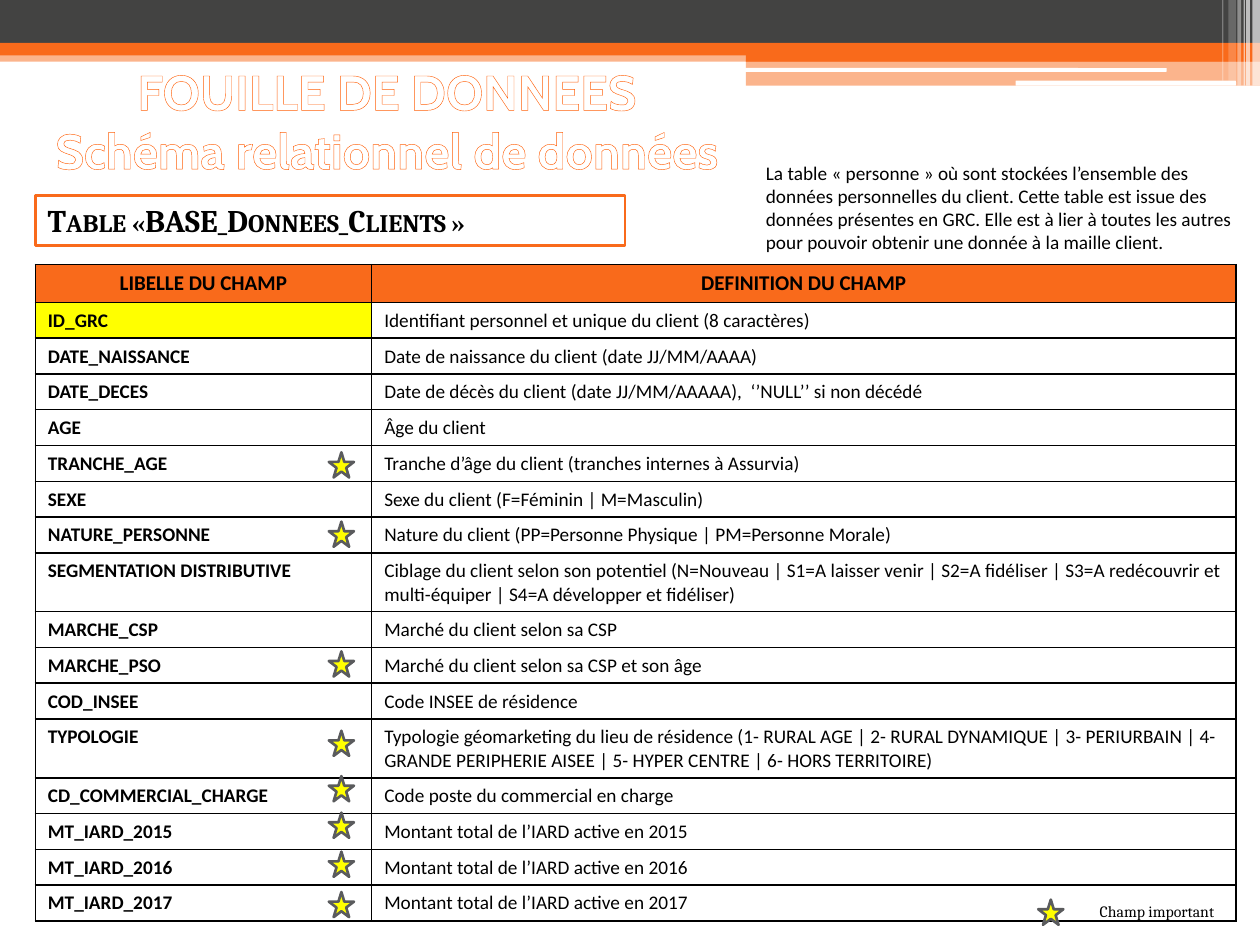
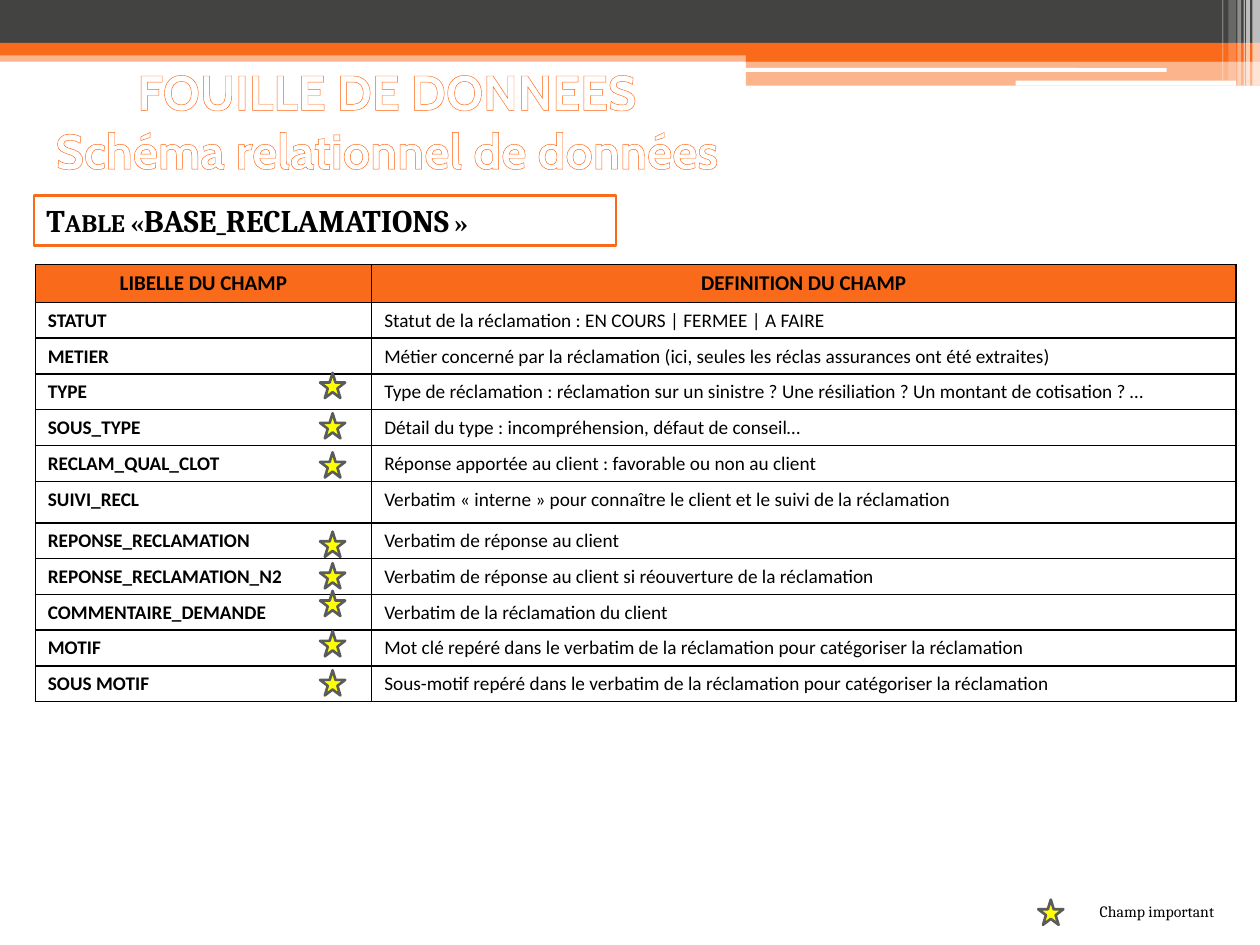
from lxml import etree
from pptx import Presentation
from pptx import util as u
from pptx.dml.color import RGBColor
from pptx.enum import shapes, text
from pptx.oxml import ns

CELL = u.Inches(0.1)
COLUMNS, ROWS = 100, 75

ORANGE = RGBColor(0xF9, 0x6A, 0x1B)
OUTLINE_ORANGE = RGBColor(0xFF, 0x60, 0x09)
CHARCOAL = RGBColor(0x43, 0x43, 0x42)
STAR_GREY = RGBColor(0x5A, 0x5B, 0x5D)
YELLOW = RGBColor(0xFF, 0xFF, 0x00)
WHITE = RGBColor(0xFF, 0xFF, 0xFF)
BLACK = RGBColor(0, 0, 0)

RECTANGLE = shapes.MSO_SHAPE.RECTANGLE
ROUNDED = shapes.MSO_SHAPE.ROUNDED_RECTANGLE
STAR = shapes.MSO_SHAPE.STAR_5_POINT
CENTER = text.PP_ALIGN.CENTER
LEFT = text.PP_ALIGN.LEFT
TOP = text.MSO_ANCHOR.TOP
MIDDLE = text.MSO_ANCHOR.MIDDLE
BOTTOM = text.MSO_ANCHOR.BOTTOM

BANDS = [
    (0, 4, 100, 0.9, ORANGE, 50),
    (0, 0, 100, 3.4, CHARCOAL, 100),
    (0, 3.4, 100, 1, ORANGE, 100),
    (59.2, 3.9, 40.8, 1, ORANGE, 100),
    (59.2, 4.8, 40.8, 2, ORANGE, 50),
]
WHITE_STREAKS = [(59.1, 5.4, 33.5, 0.3), (80.6, 6.4, 17.5, 0.4)]
CORNER_STRIPES = [
    (99.4, 0.6, 6.8, 65),
    (98.9, 0.3, 6.8, 65),
    (98.7, 0.1, 6.8, 60),
    (98.2, 0.3, 6.8, 40),
    (97.5, 0.6, 6.4, 20),
    (97, 0.1, 6.4, 30),
]

TITLE = "FOUILLE DE DONNEES\vSchéma relationnel de données"
HEADINGS = ("LIBELLE DU CHAMP", "DEFINITION DU CHAMP")
FIELD_WIDTHS = (26.7, 68.6)
ROW_HEIGHT = 2.8

CLIENT_NOTE = (
    "La table « personne » où sont stockées l’ensemble des données personnelles "
    "du client. Cette table est issue des données présentes en GRC. Elle est à lier "
    "à toutes les autres pour pouvoir obtenir une donnée à la maille client."
)
CLIENT_FIELDS = [
    ("ID_GRC", "Identifiant personnel et unique du client (8 caractères)", None),
    ("DATE_NAISSANCE", "Date de naissance du client (date JJ/MM/AAAA)", None),
    ("DATE_DECES", "Date de décès du client (date JJ/MM/AAAAA),  ‘’NULL’’ si non décédé", None),
    ("AGE", "Âge du client", None),
    ("TRANCHE_AGE", "Tranche d’âge du client (tranches internes à Assurvia)", 35.9),
    ("SEXE", "Sexe du client (F=Féminin | M=Masculin)", None),
    ("NATURE_PERSONNE", "Nature du client (PP=Personne Physique | PM=Personne Morale)", 41.4),
    ("SEGMENTATION DISTRIBUTIVE",
     "Ciblage du client selon son potentiel (N=Nouveau | S1=A laisser venir | "
     "S2=A fidéliser | S3=A redécouvrir et multi-équiper | "
     "S4=A développer et fidéliser)", None),
    ("MARCHE_CSP", "Marché du client selon sa CSP", None),
    ("MARCHE_PSO", "Marché du client selon sa CSP et son âge", 51.7),
    ("COD_INSEE", "Code INSEE de résidence", None),
    ("TYPOLOGIE",
     "Typologie géomarketing du lieu de résidence (1- RURAL AGE | "
     "2- RURAL DYNAMIQUE | 3- PERIURBAIN | 4- GRANDE PERIPHERIE AISEE | "
     "5- HYPER CENTRE | 6- HORS TERRITOIRE)", 58),
    ("CD_COMMERCIAL_CHARGE", "Code poste du commercial en charge", 61.6),
    ("MT_IARD_2015", "Montant total de l’IARD active en 2015", 64.5),
    ("MT_IARD_2016", "Montant total de l’IARD active en 2016", 67.6),
    ("MT_IARD_2017", "Montant total de l’IARD active en 2017", 70.8),
]
CLAIM_FIELDS = [
    ("STATUT", "Statut de la réclamation : EN COURS | FERMEE | A FAIRE", None),
    ("METIER",
     "Métier concerné par la réclamation (ici, seules les réclas assurances "
     "ont été extraites)", None),
    ("TYPE",
     "Type de réclamation : réclamation sur un sinistre ? Une résiliation ? "
     "Un montant de cotisation ? …", 29.6),
    ("SOUS_TYPE", "Détail du type : incompréhension, défaut de conseil…", 32.8),
    ("RECLAM_QUAL_CLOT", "Réponse apportée au client : favorable ou non au client", 35.9),
    ("SUIVI_RECL",
     "Verbatim « interne » pour connaître le client et le suivi de la réclamation", None),
    ("REPONSE_RECLAMATION", "Verbatim de réponse au client", 42.2),
    ("REPONSE_RECLAMATION_N2",
     "Verbatim de réponse au client si réouverture de la réclamation", 44.7),
    ("COMMENTAIRE_DEMANDE", "Verbatim de la réclamation du client", 46.9),
    ("MOTIF",
     "Mot clé repéré dans le verbatim de la réclamation pour catégoriser "
     "la réclamation", 50.1),
    ("SOUS MOTIF",
     "Sous-motif repéré dans le verbatim de la réclamation pour catégoriser "
     "la réclamation", 53.2),
]


def grid(*cells):
    return [int(cell * CELL) for cell in cells]


def add_line_xml(parent, tag, color, points, position):
    line = etree.Element(ns.qn(tag), w=str(u.Pt(points)))
    fill = etree.SubElement(line, ns.qn("a:solidFill"))
    etree.SubElement(fill, ns.qn("a:srgbClr"), val=str(color))
    parent.insert(position, line)


def write_text(frame, words, font="Calibri", size=11, bold=False, color=BLACK,
               align=LEFT, outline=None, small_caps=False):
    paragraph = frame.paragraphs[0]
    paragraph.text = words
    paragraph.alignment = align
    for run in paragraph.runs:
        run.font.name = font
        run.font.size = u.Pt(size)
        run.font.bold = bold
        run.font.color.rgb = color
        properties = run._r.get_or_add_rPr()
        if small_caps:
            properties.set("cap", "small")
        if outline is not None:
            add_line_xml(properties, "a:ln", outline, 1, 0)


def add_label(container, words, place, anchor=TOP, **style):
    frame = container.add_textbox(*grid(*place)).text_frame
    frame.word_wrap = True
    frame.vertical_anchor = anchor
    write_text(frame, words, **style)


def add_block(container, kind, place, fill, opacity=100, line=None):
    shape = container.add_shape(kind, *grid(*place))
    shape.shadow.inherit = False
    shape.fill.solid()
    shape.fill.fore_color.rgb = fill
    if opacity < 100:
        color = shape.element.spPr.find(".//" + ns.qn("a:srgbClr"))
        etree.SubElement(color, ns.qn("a:alpha"), val=str(opacity * 1000))
    if line is None:
        shape.line.fill.background()
    else:
        shape.line.color.rgb = line
        shape.line.width = u.Pt(1.5)
    return shape


def add_star(container, left, top):
    add_block(container, STAR, (left, top, 2, 2), YELLOW, line=STAR_GREY)


def add_header(slide):
    for *place, color, opacity in BANDS:
        add_block(slide.shapes, RECTANGLE, place, color, opacity)
    for place in WHITE_STREAKS:
        add_block(slide.shapes, ROUNDED, place, WHITE)
    for left, width, height, opacity in CORNER_STRIPES:
        add_block(slide.shapes, RECTANGLE, (left, 0, width, height), WHITE, opacity)
    add_label(slide.shapes, TITLE, (-1.2, 7.6, 63.8, 7.1), anchor=BOTTOM, font="Cabin",
              size=28, bold=True, color=WHITE, align=CENTER, outline=OUTLINE_ORANGE)


def add_table_name(slide, name, left, width):
    shape = add_block(slide.shapes, RECTANGLE, (left, 15.5, width, 4), WHITE, line=ORANGE)
    shape.text_frame.vertical_anchor = TOP
    write_text(shape.text_frame, name, font="Cambria", size=18, bold=True, small_caps=True)


def fill_cell(cell, words, fill, anchor=TOP, **style):
    properties = cell._tc.get_or_add_tcPr()
    for position, side in enumerate("LRTB"):
        add_line_xml(properties, f"a:ln{side}", BLACK, 1, position)
    cell.fill.solid()
    cell.fill.fore_color.rgb = fill
    cell.vertical_anchor = anchor
    write_text(cell.text_frame, words, **style)


def add_field_table(slide, fields, key=None, tall_rows=()):
    heights = [ROW_HEIGHT] + [3.3 if name in tall_rows else ROW_HEIGHT for name, *_ in fields]
    place = grid(2.8, 21, sum(FIELD_WIDTHS), sum(heights))
    table = slide.shapes.add_table(len(heights), len(FIELD_WIDTHS), *place).table
    table.horz_banding = False
    for column, width in zip(table.columns, grid(*FIELD_WIDTHS)):
        column.width = width
    for row, height in zip(table.rows, grid(*heights)):
        row.height = height
    for column, heading in enumerate(HEADINGS):
        fill_cell(table.cell(0, column), heading, ORANGE, anchor=MIDDLE,
                  size=12, bold=True, align=CENTER)
    for row, (name, definition, _) in enumerate(fields, start=1):
        fill_cell(table.cell(row, 0), name, YELLOW if name == key else WHITE, bold=True)
        fill_cell(table.cell(row, 1), definition, WHITE)


def add_stars(slide, fields, left):
    for *_, top in fields:
        if top is not None:
            add_star(slide.shapes, left, top)


def add_legend(slide):
    legend = slide.shapes.add_group_shape().shapes
    add_star(legend, 82.4, 71.4)
    add_label(legend, "Champ important", (86.3, 71.1, 12, 2.5), font="Cambria", size=9)


def add_client_slide(slide):
    add_header(slide)
    add_table_name(slide, "Table «BASE_Donnees_Clients » ", 2.8, 46.8)
    add_field_table(slide, CLIENT_FIELDS, key="ID_GRC")
    add_label(slide.shapes, CLIENT_NOTE, (59.8, 12.3, 39.8, 8.4))
    add_legend(slide)
    add_stars(slide, CLIENT_FIELDS, 26.1)


def add_claim_slide(slide):
    add_header(slide)
    add_table_name(slide, "Table «BASE_RECLAMATIONS » ", 2.7, 46.2)
    add_field_table(slide, CLAIM_FIELDS, tall_rows=("SUIVI_RECL",))
    add_stars(slide, CLAIM_FIELDS, 25.4)
    add_legend(slide)


def main():
    presentation = Presentation()
    presentation.slide_width, presentation.slide_height = grid(COLUMNS, ROWS)
    blank = presentation.slide_layouts[6]
    for build in (add_client_slide, add_claim_slide):
        build(presentation.slides.add_slide(blank))
    presentation.save("out.pptx")


if __name__ == "__main__":
    main()
